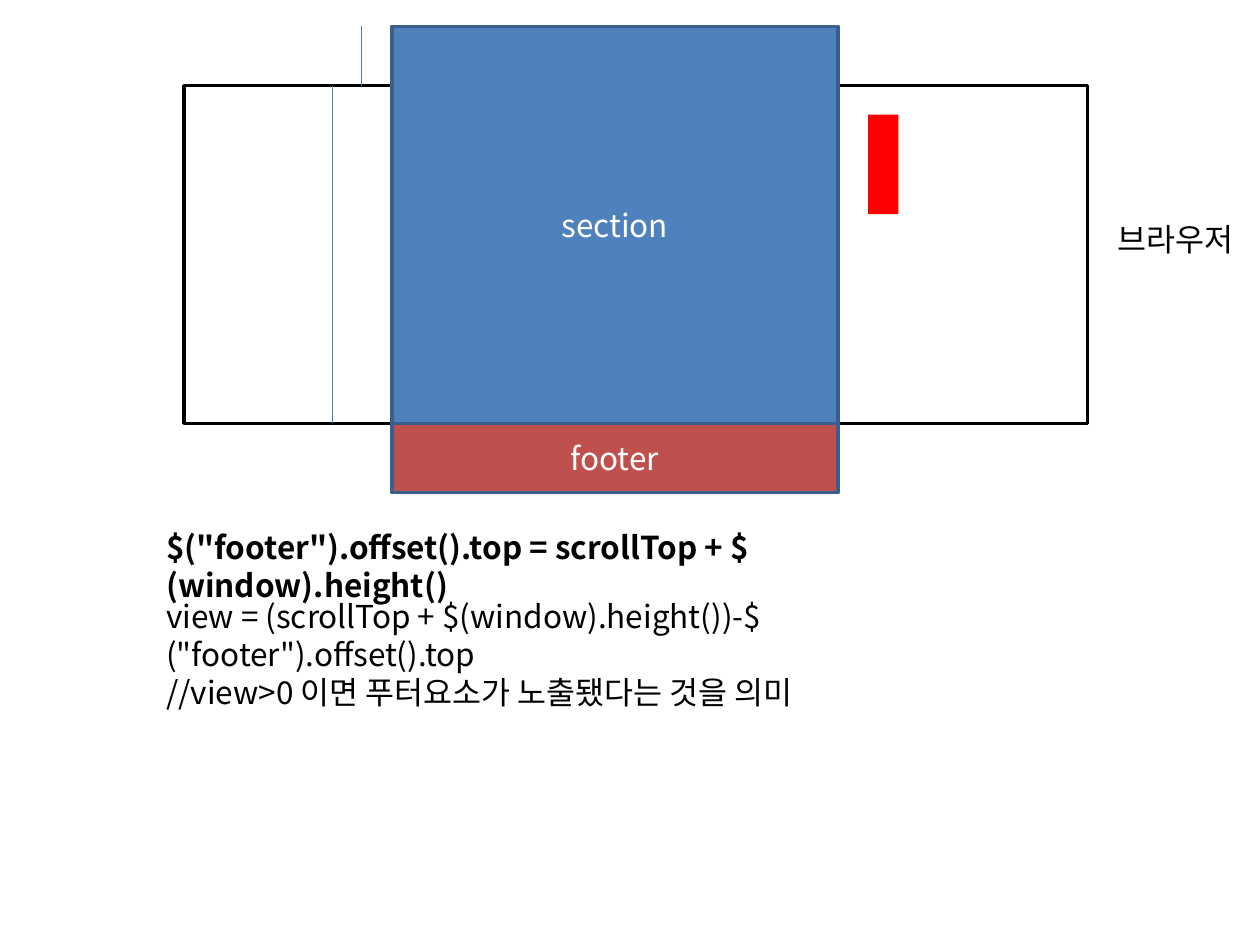
from pptx import Presentation
from pptx.dml.color import RGBColor
from pptx.enum.shapes import MSO_CONNECTOR, MSO_SHAPE
from pptx.enum.text import MSO_ANCHOR, PP_ALIGN
from pptx.oxml.ns import qn
from pptx.util import Inches, Pt
from lxml import etree

FONT = "Noto Sans CJK KR"


def rgb(value):
    return RGBColor.from_string(value)


def write(tf, text, color, align, bold=False):
    tf.text = text
    tf.word_wrap = True
    for p in tf.paragraphs:
        p.alignment = align
        for r in p.runs:
            r.font.name = FONT
            r.font.size = Pt(18)
            r.font.bold = bold
            r.font.color.rgb = rgb(color)
            # Hangul uses the East Asian typeface
            etree.SubElement(r.font._element, qn("a:ea"), typeface=FONT)


prs = Presentation()
prs.slide_width, prs.slide_height = Inches(10), Inches(7.5)
s = prs.slides.add_slide(prs.slide_layouts[6])

# Shared edges of the diagram
page_top, window_top, window_bottom = 0.21, 0.68, 3.36
page_left, page_width = 3.11, 3.54

# Browser window, page parts and the floating banner
boxes = [
    (1.46, window_top, 7.17, window_bottom - window_top, None, "000000", ""),
    (page_left, page_top, page_width, window_bottom - page_top, "4F81BD", "3A5F8C", "section"),
    (page_left, window_bottom, page_width, 0.55, "C0504D", "3A5F8C", "footer"),
    (6.89, 0.91, 0.24, 0.79, "FF0000", None, ""),
]
for left, top, width, height, fill, line, text in boxes:
    sp = s.shapes.add_shape(MSO_SHAPE.RECTANGLE, Inches(left), Inches(top),
                            Inches(width), Inches(height))
    sp.shadow.inherit = False
    if fill:
        sp.fill.solid()
        sp.fill.fore_color.rgb = rgb(fill)
    else:
        sp.fill.background()
    if line:
        sp.line.color.rgb = rgb(line)
        sp.line.width = Pt(2)
    else:
        sp.line.fill.background()
    if text:
        sp.text_frame.vertical_anchor = MSO_ANCHOR.MIDDLE
        write(sp.text_frame, text, "FFFFFF", PP_ALIGN.CENTER)

# Scroll distance and window height markers
for x, top, bottom in [(2.87, page_top, window_top), (2.64, window_top, window_bottom)]:
    marker = s.shapes.add_connector(MSO_CONNECTOR.STRAIGHT, Inches(x), Inches(top),
                                    Inches(x), Inches(bottom))
    marker.line.color.rgb = rgb("4B7EBC")
    marker.line.width = Pt(0.75)
    etree.SubElement(marker._element.spPr, qn("a:effectLst"))

# Browser label and formulas
labels = [
    (8.77, 1.7, 1.21, 0.4, "브라우저", False),
    (1.22, 4.14, 7.01, 0.4, '$("footer").offset().top = scrollTop + $(window).height()', True),
    (1.22, 4.69, 7.26, 1.01,
     'view = (scrollTop + $(window).height())-$("footer").offset().top\n'
     "//view>0 이면 푸터요소가 노출됐다는 것을 의미", False),
]
for left, top, width, height, text, bold in labels:
    tb = s.shapes.add_textbox(Inches(left), Inches(top), Inches(width), Inches(height))
    write(tb.text_frame, text, "000000", PP_ALIGN.LEFT, bold)

prs.save("out.pptx")
